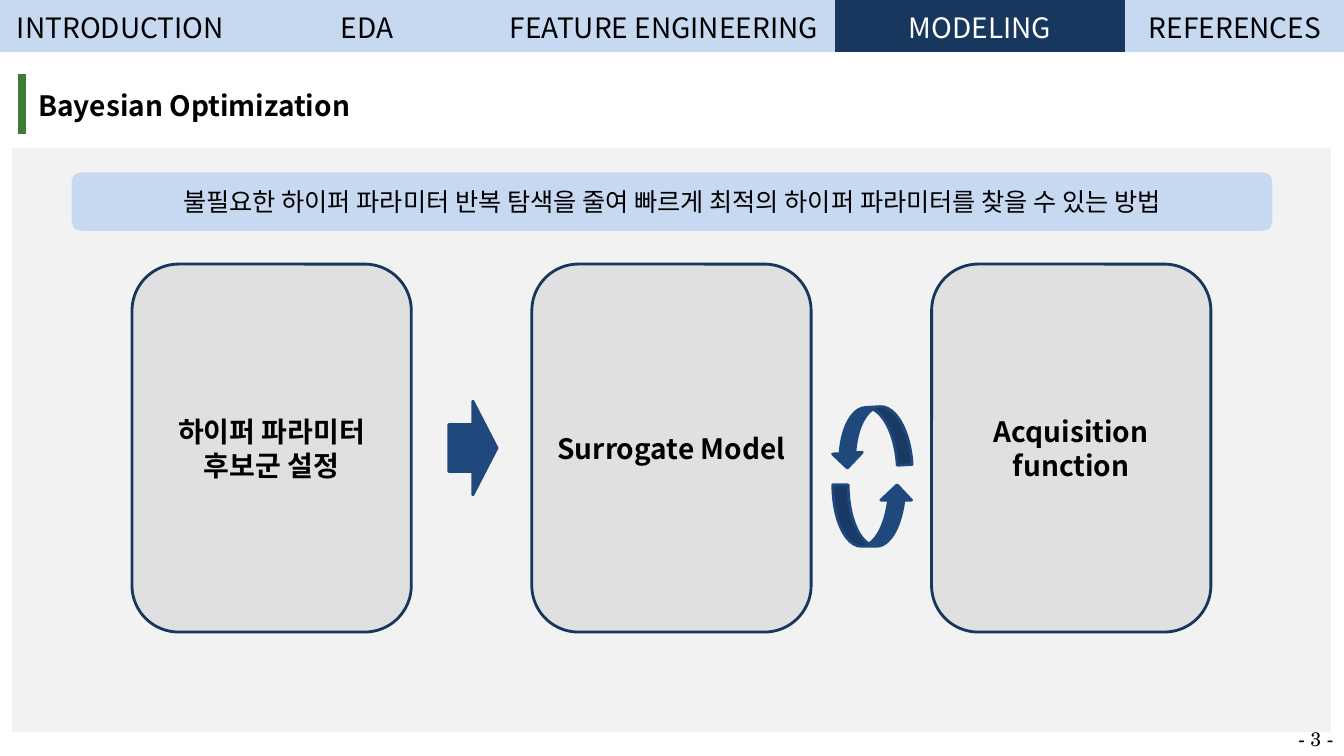
from lxml.etree import SubElement
from pptx import Presentation
from pptx.dml.color import RGBColor
from pptx.enum.shapes import MSO_SHAPE
from pptx.enum.text import MSO_ANCHOR, PP_ALIGN
from pptx.oxml.ns import qn
from pptx.util import Inches, Pt

BLACK = RGBColor(0x00, 0x00, 0x00)
WHITE = RGBColor(0xFF, 0xFF, 0xFF)
NAVY = RGBColor(0x17, 0x37, 0x5E)
BLUE = RGBColor(0x1F, 0x49, 0x7D)
PALE_BLUE = RGBColor(0xC6, 0xD9, 0xF1)
GREEN = RGBColor(0x3E, 0x7D, 0x33)
PANEL_GRAY = RGBColor(0xF2, 0xF2, 0xF2)
CARD_GRAY = RGBColor(0xE0, 0xE0, 0xE0)
SANS = "Noto Sans CJK KR"
SERIF = "TeX Gyre Schola"
PLAIN_TABLE = "{2D5ABB26-0587-4C30-8999-92F81FD0307C}"

SECTIONS = [("INTRODUCTION", 2.39), ("EDA", 2.5), ("FEATURE ENGINEERING", 3.39),
            ("MODELING", 2.88), ("REFERENCES", 2.18)]
STEPS = ["하이퍼 파라미터 후보군 설정", "Surrogate Model", "Acquisition function"]


def write_text(frame, text, size=20, color=BLACK, bold=False, font=SANS,
               align=PP_ALIGN.CENTER, anchor=MSO_ANCHOR.MIDDLE):
    frame.vertical_anchor = anchor
    paragraph = frame.paragraphs[0]
    paragraph.alignment = align
    run = paragraph.add_run()
    run.text = text
    run.font.size = Pt(size)
    run.font.bold = bold
    run.font.name = font
    run.font.color.rgb = color
    SubElement(run.font._element, qn("a:ea"), typeface=font)


def add_block(slide, kind, left, top, width, height, fill, line=None):
    shape = slide.shapes.add_shape(
        kind, Inches(left), Inches(top), Inches(width), Inches(height))
    shape.shadow.inherit = False
    shape.fill.solid()
    shape.fill.fore_color.rgb = fill
    if line is None:
        shape.line.fill.background()
    else:
        shape.line.color.rgb = line
        shape.line.width = Pt(2)
    return shape


def add_plain_table(slide, left, top, widths, height, margin):
    frame = slide.shapes.add_table(1, len(widths), Inches(left), Inches(top),
                                   Inches(sum(widths)), Inches(height))
    table = frame.table
    table.first_row = table.horz_banding = False
    table._tbl.tblPr.find(qn("a:tableStyleId")).text = PLAIN_TABLE
    for column, width in zip(table.columns, widths):
        column.width = Inches(width)
    for cell in table.iter_cells():
        cell.margin_left = cell.margin_right = Inches(margin)
        cell.margin_top = cell.margin_bottom = Inches(margin)
    return table


def add_navigation(slide, left, top, height, active):
    widths = [width for _, width in SECTIONS]
    table = add_plain_table(slide, left, top, widths, height, 0.04)
    for cell, (name, _) in zip(table.iter_cells(), SECTIONS):
        is_active = name == active
        cell.fill.solid()
        cell.fill.fore_color.rgb = NAVY if is_active else PALE_BLUE
        write_text(cell.text_frame, name, color=WHITE if is_active else BLACK)
        cell.vertical_anchor = MSO_ANCHOR.MIDDLE


def add_heading(slide, left, top, width, height, title):
    cell = add_plain_table(slide, left, top, [width], height, 0.1).cell(0, 0)
    cell.margin_left = Inches(0.16)
    # Green bar on the left edge
    properties = cell._tc.get_or_add_tcPr()
    border = SubElement(properties, qn("a:lnL"), w=str(Pt(6)))
    border_fill = SubElement(border, qn("a:solidFill"))
    SubElement(border_fill, qn("a:srgbClr"), val=str(GREEN))
    cell.fill.background()
    write_text(cell.text_frame, title, bold=True, align=PP_ALIGN.LEFT)
    cell.vertical_anchor = MSO_ANCHOR.TOP


def add_process(slide, left, top, width, height):
    add_block(slide, MSO_SHAPE.RECTANGLE, left, top, width, height, PANEL_GRAY)

    # Summary banner
    banner = add_block(slide, MSO_SHAPE.ROUNDED_RECTANGLE,
                       left + 0.59, top + 0.24, 11.91, 0.58, PALE_BLUE)
    write_text(banner.text_frame, "불필요한 하이퍼 파라미터 반복 탐색을 줄여 빠르게 "
               "최적의 하이퍼 파라미터를 찾을 수 있는 방법", size=18)

    # Step cards
    for index, step in enumerate(STEPS):
        card = add_block(slide, MSO_SHAPE.ROUNDED_RECTANGLE,
                         left + 1.19 + 3.965 * index, top + 1.15, 2.77, 3.65,
                         CARD_GRAY, NAVY)
        write_text(card.text_frame, step, bold=True)

    # Forward arrow, then the loop between model and function
    add_block(slide, MSO_SHAPE.RIGHT_ARROW, left + 4.33, top + 2.51,
              0.48, 0.93, BLUE, BLUE)
    add_block(slide, MSO_SHAPE.CURVED_UP_ARROW, left + 8.14, top + 3.34,
              0.79, 0.61, BLUE, BLUE)
    back_arrow = add_block(slide, MSO_SHAPE.CURVED_UP_ARROW, left + 8.12,
                           top + 2.57, 0.79, 0.59, BLUE, BLUE)
    back_arrow.rotation = 176.8


def add_page_number(slide, left, top, width, height, number):
    box = slide.shapes.add_textbox(
        Inches(left), Inches(top), Inches(width), Inches(height))
    box.text_frame.word_wrap = False
    write_text(box.text_frame, f"- {number} -", size=14, font=SERIF,
               align=PP_ALIGN.LEFT, anchor=MSO_ANCHOR.TOP)


def main():
    presentation = Presentation()
    presentation.slide_width = Inches(13.33)
    presentation.slide_height = Inches(7.5)
    slide = presentation.slides.add_slide(presentation.slide_layouts[6])
    add_process(slide, 0.12, 1.47, 13.08, 5.79)
    add_heading(slide, 0.22, 0.73, 5.65, 0.52, "Bayesian Optimization")
    add_page_number(slide, 12.78, 7.16, 0.55, 0.34, 3)
    add_navigation(slide, 0, 0, 0.52, "MODELING")
    presentation.save("out.pptx")


if __name__ == "__main__":
    main()
